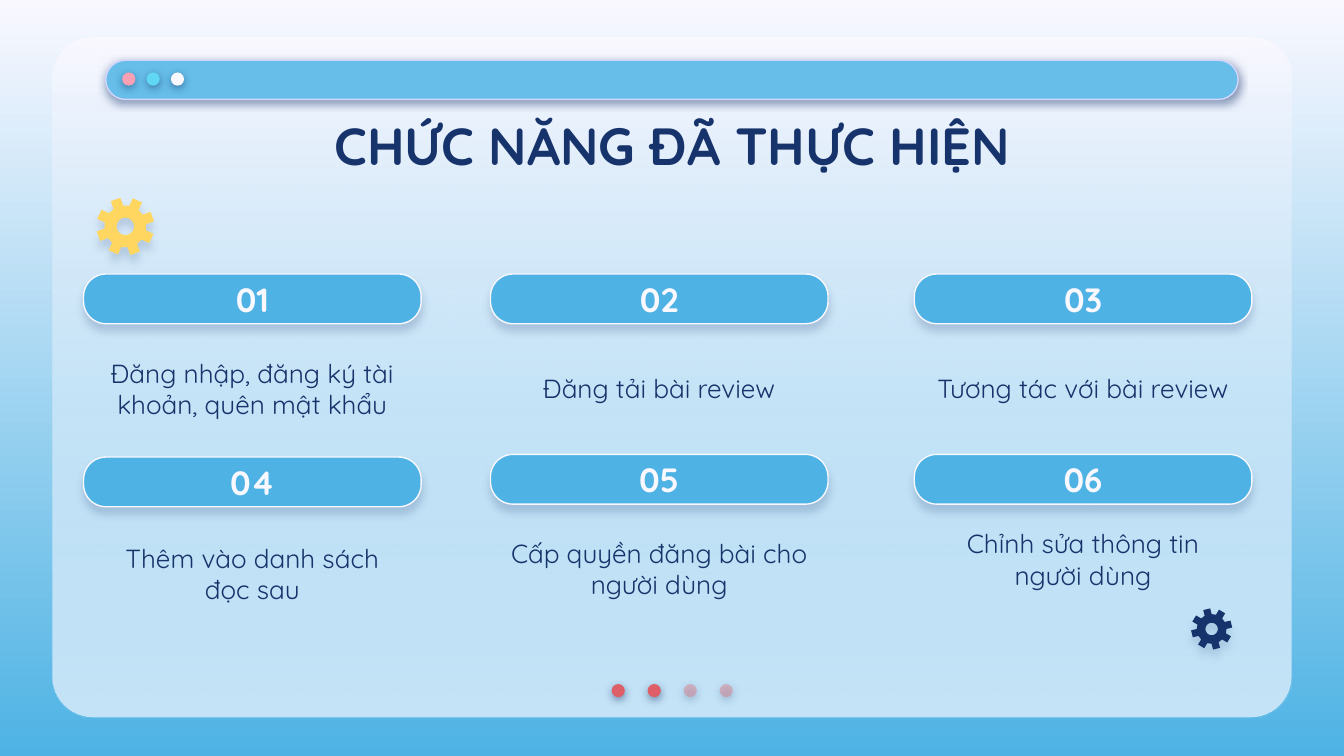
from dataclasses import dataclass
from math import cos, radians, sin

from lxml import etree
from pptx import Presentation
from pptx import util as u
from pptx.dml.color import RGBColor
from pptx.enum import shapes, text
from pptx.oxml import ns

NAVY = RGBColor(0x17, 0x33, 0x6B)
PALE = RGBColor(0xF9, 0xF8, 0xFF)
BLUE = RGBColor(0x4E, 0xB3, 0xE4)
SKY = RGBColor(0x66, 0xBE, 0xE9)
LILAC = RGBColor(0xD2, 0xD6, 0xFF)
RED = RGBColor(0xDF, 0x5F, 0x69)
ROSE = RGBColor(0xE2, 0x7B, 0x83)
PINK = RGBColor(0xFD, 0xA0, 0xB4)
CYAN = RGBColor(0x60, 0xD8, 0xF4)
GOLD = RGBColor(0xFF, 0xD6, 0x5F)
FONT = "Quicksand"
ROUND = shapes.MSO_SHAPE.ROUNDED_RECTANGLE
OVAL = shapes.MSO_SHAPE.OVAL


@dataclass(frozen=True)
class Box:
    x: float
    y: float
    w: float
    h: float

    def size(self) -> list:
        return [u.Cm(v) for v in (self.x, self.y, self.w, self.h)]


@dataclass(frozen=True)
class Shade:
    alpha: int
    dist: float
    blur: float = 4.5


@dataclass(frozen=True)
class Card:
    num: str
    body: str
    x: float
    y: float
    drop: float


@dataclass(frozen=True)
class Gear:
    x: float
    y: float
    tip: float
    turn: float
    color: RGBColor
    shade: Shade


@dataclass(frozen=True)
class Dot:
    x: float
    y: float
    color: RGBColor
    alpha: int = 100


HARD = Shade(50, 1.5)
SOFT = Shade(18, 3.8)

LEFT, MID, RIGHT = 1.58, 9.27, 17.28
CARDS = [
    Card("01", "Đăng nhập, đăng ký tài khoản, quên mật khẩu", LEFT, 5.18, 1.12),
    Card("02", "Đăng tải bài review", MID, 5.18, 1.12),
    Card("03", "Tương tác với bài review", RIGHT, 5.18, 1.12),
    Card("04", "Thêm vào danh sách đọc sau", LEFT, 8.64, 1.16),
    Card("05", "Cấp quyền đăng bài cho người dùng", MID, 8.59, 1.12),
    Card("06", "Chỉnh sửa thông tin người dùng", RIGHT, 8.59, 0.94),
]
GEARS = [
    Gear(2.37, 4.28, 0.55, -110, GOLD, Shade(16, 4.5)),
    Gear(22.9, 11.89, 0.39, -104, NAVY, Shade(15, 3.8)),
]
DOTS = [Dot(2.31 + 0.46 * i, 1.37, c) for i, c in enumerate((PINK, CYAN, PALE))]
DOTS += [
    Dot(11.56 + 0.68 * i, 12.93, c, a)
    for i, (c, a) in enumerate([(RED, 100), (RED, 100), (ROSE, 44), (ROSE, 44)])
]


def add(node, tag: str, **attrs):
    return etree.SubElement(node, ns.qn(tag), {k: str(v) for k, v in attrs.items()})


def fade(shape, alpha: int) -> None:
    tone = shape._element.spPr.findall(".//" + ns.qn("a:srgbClr"))[-1]
    add(tone, "a:alpha", val=alpha * 1000)


def cast(shape, shade: Shade) -> None:
    shape.shadow.inherit = False
    list_ = shape._element.spPr.find(ns.qn("a:effectLst"))
    outer = add(list_, "a:outerShdw", blurRad=u.Pt(shade.blur), dist=u.Pt(shade.dist),
                dir=5400000, algn="bl", rotWithShape=0)
    add(add(outer, "a:srgbClr", val=NAVY), "a:alpha", val=shade.alpha * 1000)


def blend(fill, top: RGBColor, base: RGBColor) -> None:
    fill.gradient()
    fill.gradient_angle = 270
    for stop, color in zip(fill.gradient_stops, (top, base)):
        stop.color.rgb = color


def paint(shape, color: RGBColor, edge: RGBColor | None = None) -> None:
    shape.shadow.inherit = False
    shape.fill.solid()
    shape.fill.fore_color.rgb = color
    if edge is None:
        shape.line.fill.background()
    else:
        shape.line.color.rgb = edge
        shape.line.width = u.Pt(0.75)


def pill(slide, box: Box, curve: float, color: RGBColor,
         edge: RGBColor | None = None, shade: Shade | None = None):
    shape = slide.shapes.add_shape(ROUND, *box.size())
    shape.adjustments[0] = curve
    paint(shape, color, edge)
    if shade:
        cast(shape, shade)
    return shape


def dot(slide, spot: Dot) -> None:
    shape = slide.shapes.add_shape(OVAL, *Box(spot.x, spot.y, 0.25, 0.25).size())
    paint(shape, spot.color)
    if spot.alpha < 100:
        fade(shape, spot.alpha)
    cast(shape, HARD)


def label(slide, box: Box, words: str, size: int, color: RGBColor, bold: bool) -> None:
    frame = slide.shapes.add_textbox(*box.size()).text_frame
    frame.word_wrap = True
    frame.vertical_anchor = text.MSO_ANCHOR.MIDDLE
    frame.margin_left = frame.margin_right = u.Cm(0.25)
    frame.margin_top = frame.margin_bottom = u.Cm(0.25)
    para = frame.paragraphs[0]
    para.alignment = text.PP_ALIGN.CENTER
    run = para.add_run()
    run.text = words
    run.font.name = FONT
    run.font.size = u.Pt(size)
    run.font.bold = bold
    run.font.color.rgb = color


def cog(slide, gear: Gear) -> None:
    def point(deg: float, size: float) -> tuple[int, int]:
        ang = radians(deg)
        reach = gear.tip * size
        return u.Cm(gear.x + reach * cos(ang)), u.Cm(gear.y + reach * sin(ang))

    tooth = [(-14, 0.72), (-10, 1), (10, 1), (14, 0.72)]
    rim = [point(gear.turn + 45 * i + d, r) for i in range(8) for d, r in tooth]
    hole = [point(-10 * i, 0.3) for i in range(36)]
    path = slide.shapes.build_freeform(*rim[0])
    path.add_line_segments(rim[1:])
    path.move_to(*hole[0])
    path.add_line_segments(hole[1:])
    shape = path.convert_to_shape()
    paint(shape, gear.color)
    cast(shape, gear.shade)


def card(slide, item: Card) -> None:
    pill(slide, Box(item.x, item.y, 6.38, 0.94), 0.45, BLUE, PALE, SOFT)
    label(slide, Box(item.x + 0.56, item.y + 0.1, 5.26, 0.74), item.num, 18, PALE, True)
    label(slide, Box(item.x + 0.05, item.y + item.drop, 6.28, 2.08),
          item.body, 14, NAVY, False)


def main() -> None:
    deck = Presentation()
    deck.slide_width, deck.slide_height = u.Cm(25.4), u.Cm(14.29)
    slide = deck.slides.add_slide(deck.slide_layouts[6])
    blend(slide.background.fill, PALE, BLUE)

    panel = Box(0.99, 0.71, 23.42, 12.85)
    pill(slide, panel, 0.06, PALE)
    glass = pill(slide, panel, 0.06, PALE)
    blend(glass.fill, PALE, SKY)
    fade(glass, 35)

    pill(slide, Box(2, 1.14, 21.4, 0.74), 0.5, SKY, LILAC, HARD)
    for spot in DOTS:
        dot(slide, spot)
    label(slide, Box(2, 1.93, 21.4, 1.6), "CHỨC NĂNG ĐÃ THỰC HIỆN", 28, NAVY, True)
    for item in CARDS:
        card(slide, item)
    for gear in GEARS:
        cog(slide, gear)
    deck.save("out.pptx")


if __name__ == "__main__":
    main()
